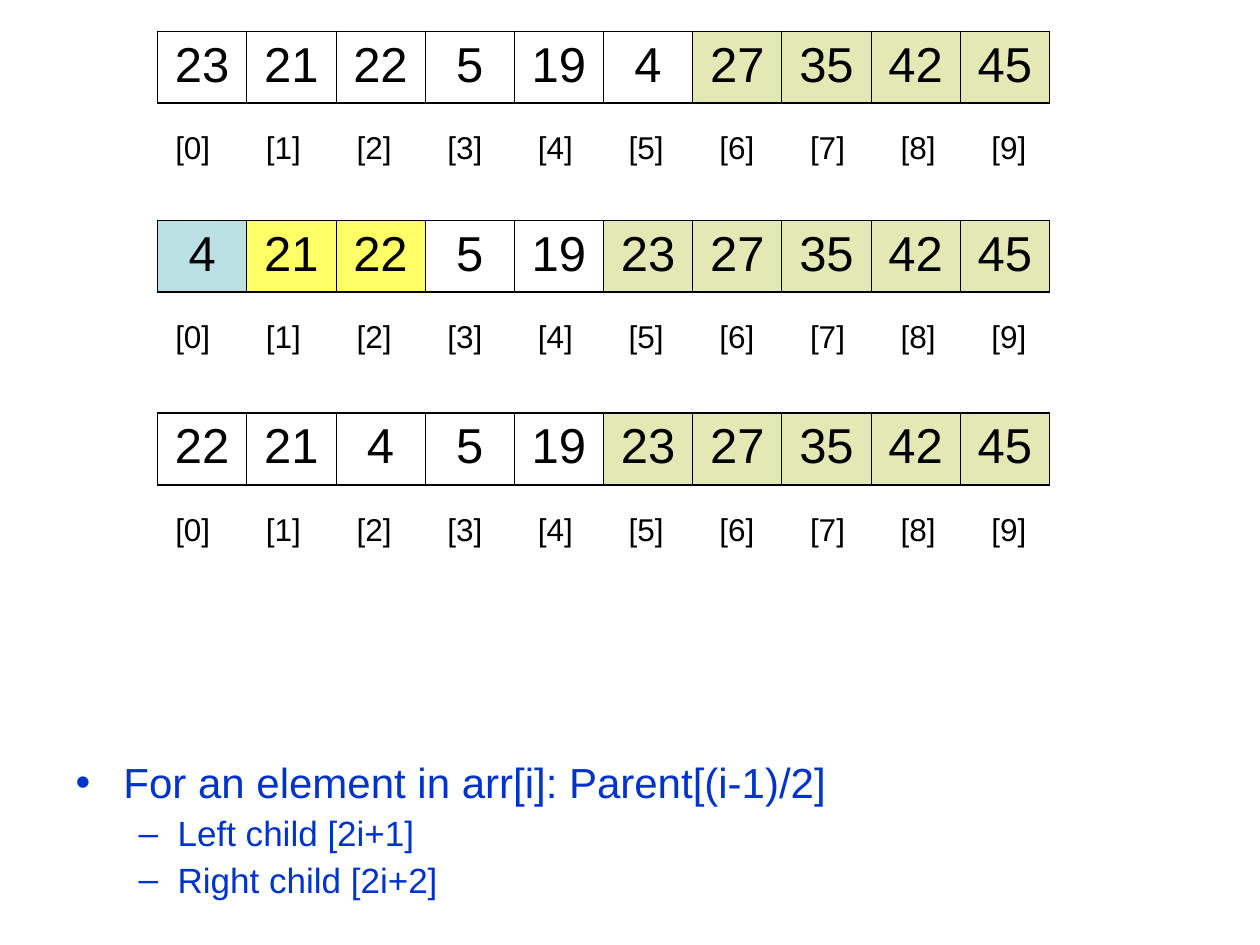
"""Build a slide of three heap sort steps with the index rules below."""
import pptx
import pptx.dml.color
import pptx.enum.text
import pptx.oxml
import pptx.oxml.ns
import pptx.util

Inches = pptx.util.Inches
Pt = pptx.util.Pt
RGBColor = pptx.dml.color.RGBColor

BLACK = RGBColor(0x00, 0x00, 0x00)
BLUE = RGBColor(0x00, 0x33, 0xCC)
GREEN = RGBColor(0xE2, 0xE9, 0xB5)
AQUA = RGBColor(0xBB, 0xE0, 0xE3)
YELLOW = RGBColor(0xFF, 0xFF, 0x66)

FONT = "Arial"
THICK, THIN = 1.08, 0.45
STEPS = [
    (0.25, [23, 21, 22, 5, 19, 4, 27, 35, 42, 45], 6, {}),
    (1.75, [4, 21, 22, 5, 19, 23, 27, 35, 42, 45], 5,
     {0: AQUA, 1: YELLOW, 2: YELLOW}),
    (3.28, [22, 21, 4, 5, 19, 23, 27, 35, 42, 45], 5, {}),
]
RULES = [
    (0, "For an element in arr[i]: Parent[(i-1)/2]"),
    (1, "Left child [2i+1]"),
    (1, "Right child [2i+2]"),
]
LEVELS = [("•", 24, 6, 0.38, 0.38), ("–", 20, 5, 0.81, 0.31)]


def style(par, size, color, gap):
    """Format a paragraph and its runs."""
    par.space_before = Pt(gap)
    for run in par.runs:
        run.font.name = FONT
        run.font.size = Pt(size)
        run.font.color.rgb = color


def edge(cell, side, width):
    """Draw one border of a cell."""
    cell._tc.get_or_add_tcPr().append(pptx.oxml.parse_xml(
        f'<a:ln{side} {pptx.oxml.ns.nsdecls("a")} w="{Pt(width)}">'
        f'<a:solidFill><a:srgbClr val="{BLACK}"/></a:solidFill></a:ln{side}>'))


def add_row(slide, box, texts, size, gap, anchor):
    """Add a plain table of one row in the box and return its cells."""
    left, top, width, height = map(Inches, box)
    frame = slide.shapes.add_table(1, len(texts), left, top, width, height)
    table = frame.table
    table.first_row = table.horz_banding = False
    for cell, text in zip(table.iter_cells(), texts):
        cell.vertical_anchor = anchor
        cell.text_frame.text = text
        par = cell.text_frame.paragraphs[0]
        par.alignment = pptx.enum.text.PP_ALIGN.CENTER
        style(par, size, BLACK, gap)
    return list(table.iter_cells())


def add_array(slide, box, values, start, marks):
    """Add the bordered array, with its sorted part green from start on."""
    cells = add_row(slide, box, [str(value) for value in values], 28, 7,
                    pptx.enum.text.MSO_ANCHOR.TOP)
    last = len(cells) - 1
    for i, cell in enumerate(cells):
        edge(cell, "L", THICK if i == 0 else THIN)
        edge(cell, "R", THICK if i == last else THIN)
        edge(cell, "T", THICK)
        edge(cell, "B", THICK)
        color = marks.get(i, GREEN if i >= start else None)
        if color is None:
            cell.fill.background()
        else:
            cell.fill.solid()
            cell.fill.fore_color.rgb = color


def add_index(slide, box, count):
    """Add the row of index labels."""
    labels = [f"[{i}]" for i in range(count)]
    for cell in add_row(slide, box, labels, 18, 4.5,
                        pptx.enum.text.MSO_ANCHOR.MIDDLE):
        cell.fill.background()


def add_rules(slide, box):
    """Fill the body placeholder with the bulleted rules."""
    body = slide.placeholders[1]
    body.left, body.top, body.width, body.height = map(Inches, box)
    frame = body.text_frame
    frame.auto_size = pptx.enum.text.MSO_AUTO_SIZE.NONE
    frame.text = "\n".join(text for _, text in RULES)
    for par, (level, _) in zip(frame.paragraphs, RULES):
        mark, size, gap, margin, hang = LEVELS[level]
        par.level = level
        par.line_spacing = 0.9
        style(par, size, BLUE, gap)
        props = par._p.get_or_add_pPr()
        props.set("marL", str(Inches(margin)))
        props.set("indent", str(-Inches(hang)))
        space = pptx.oxml.ns.nsdecls("a")
        props.append(pptx.oxml.parse_xml(
            f'<a:buFont {space} typeface="{FONT}"/>'))
        props.append(pptx.oxml.parse_xml(
            f'<a:buChar {space} char="{mark}"/>'))


def main():
    """Build and save the slide."""
    deck = pptx.Presentation()
    deck.slide_width, deck.slide_height = Inches(10), Inches(7.5)
    slide = deck.slides.add_slide(deck.slide_layouts[1])
    title = slide.shapes.title.element
    title.getparent().remove(title)
    for top, values, start, marks in STEPS:
        add_array(slide, (1.25, top, 7.08, 0.57), values, start, marks)
        add_index(slide, (1.17, top + 0.73, 7.2, 0.4), len(values))
    add_rules(slide, (0.5, 6, 9, 1.25))
    deck.save("out.pptx")


if __name__ == "__main__":
    main()
